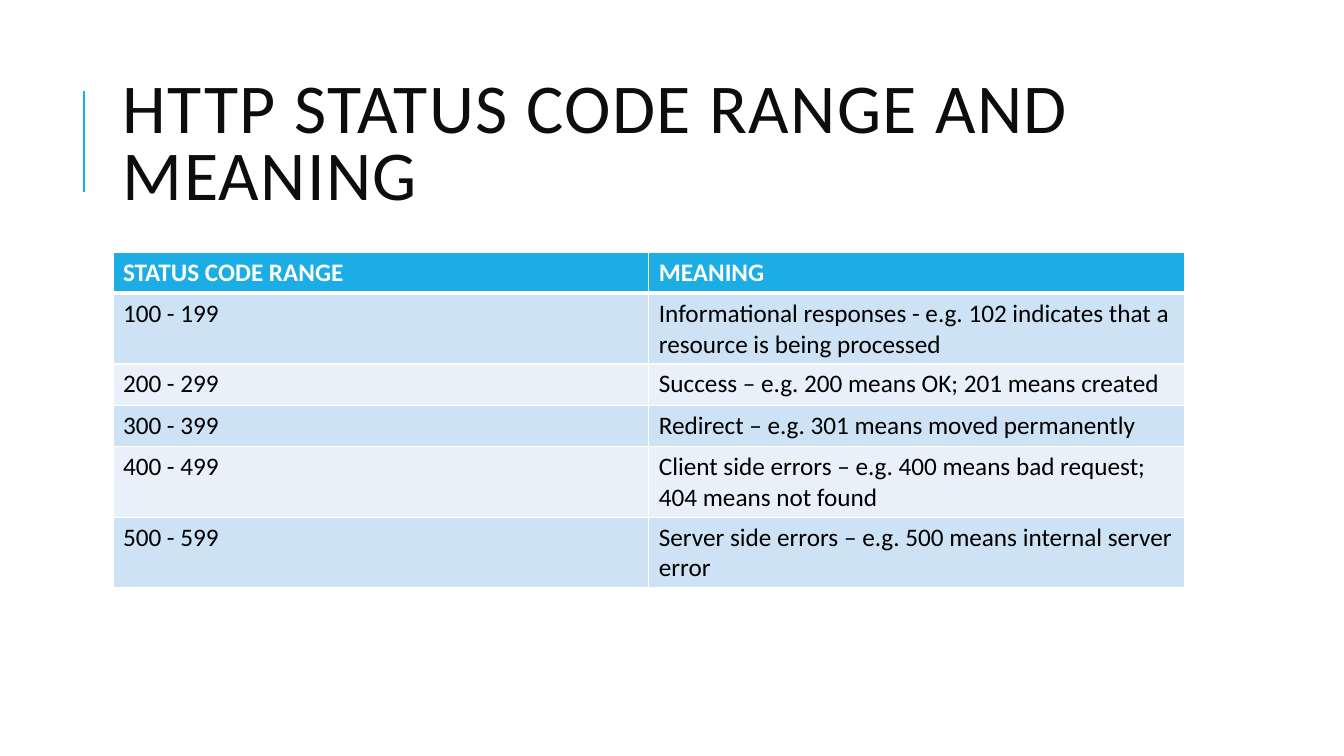
from lxml.etree import SubElement
from pptx import Presentation
from pptx.dml.color import RGBColor
from pptx.enum.shapes import MSO_CONNECTOR
from pptx.enum.text import MSO_ANCHOR
from pptx.oxml.ns import qn
from pptx.util import Inches, Pt

COLORS = {
    "accent": "1CADE4",
    "title": "0D0D0D",
    "body": "000000",
    "white": "FFFFFF",
    "band_dark": "CDE3F5",
    "band_light": "E8F1FA",
}
FONT = "Calibri"
LEFT, WIDTH = 1.12, 10.63
ROW_HEIGHT, TALL_ROW_HEIGHT = 0.41, 0.7
ROWS = [
    ("STATUS CODE RANGE", "MEANING", ROW_HEIGHT),
    ("100 - 199",
     "Informational responses - e.g. 102 indicates that a resource is being processed",
     TALL_ROW_HEIGHT),
    ("200 - 299", "Success – e.g. 200 means OK; 201 means created", ROW_HEIGHT),
    ("300 - 399", "Redirect – e.g. 301 means moved permanently", ROW_HEIGHT),
    ("400 - 499",
     "Client side errors – e.g. 400 means bad request; 404 means not found",
     TALL_ROW_HEIGHT),
    ("500 - 599", "Server side errors – e.g. 500 means internal server error",
     TALL_ROW_HEIGHT),
]


def rgb(name):
    """Return the named colour."""
    return RGBColor.from_string(COLORS[name])


def add_run(tf, text, color, **formats):
    """Write text in the first paragraph and format it."""
    r = tf.paragraphs[0].add_run()
    r.text = text
    r.font.color.rgb = rgb(color)
    for name, value in {"name": FONT, **formats}.items():
        setattr(r.font, name, value)
    return r


def add_accent_line(s, x, top, bottom):
    """Draw the upright line beside the title."""
    line = s.shapes.add_connector(
        MSO_CONNECTOR.STRAIGHT, Inches(x), Inches(bottom), Inches(x), Inches(top))
    line.line.color.rgb = rgb("accent")
    line.line.width = Pt(1.5)
    SubElement(line._element.spPr, qn("a:effectLst"))


def add_title(s, text, top, height):
    """Add the slide title."""
    sp = s.shapes.add_textbox(Inches(LEFT), Inches(top), Inches(WIDTH), Inches(height))
    tf = sp.text_frame
    tf.word_wrap = True
    tf.vertical_anchor = MSO_ANCHOR.MIDDLE
    tf.paragraphs[0].line_spacing = 0.8
    r = add_run(tf, text, "title", size=Pt(50))
    r.font._element.set("spc", "100")


def set_borders(cell, widths):
    """Give the cell white borders, in points by side."""
    tc_pr = cell._tc.get_or_add_tcPr()
    for side, width in widths.items():
        ln = SubElement(tc_pr, qn(f"a:ln{side}"), w=str(Pt(width)))
        fill = SubElement(ln, qn("a:solidFill"))
        SubElement(fill, qn("a:srgbClr"), val=COLORS["white"])


def fill_cell(cell, text, row):
    """Write and style one cell according to its row."""
    header = row == 0
    set_borders(cell, {"L": 1, "R": 1, "T": 3 if row == 1 else 1, "B": 3 if header else 1})
    cell.fill.solid()
    band = "band_dark" if row % 2 else "band_light"
    cell.fill.fore_color.rgb = rgb("accent" if header else band)
    add_run(cell.text_frame, text, "white" if header else "body",
            size=Pt(18), bold=header)


def add_status_table(s, top):
    """Add the table of status code ranges."""
    height = sum(row[-1] for row in ROWS)
    table = s.shapes.add_table(
        len(ROWS), 2, Inches(LEFT), Inches(top), Inches(WIDTH), Inches(height)).table
    for i, (*texts, row_height) in enumerate(ROWS):
        table.rows[i].height = Inches(row_height)
        for j, text in enumerate(texts):
            fill_cell(table.cell(i, j), text, i)


def main():
    """Build the slide and save it."""
    prs = Presentation()
    prs.slide_width, prs.slide_height = Inches(13.33), Inches(7.5)
    s = prs.slides.add_slide(prs.slide_layouts[6])
    add_accent_line(s, 0.83, 0.9, 1.9)
    add_title(s, "HTTP STATUS CODE RANGE AND MEANING", 0.64, 1.64)
    add_status_table(s, 2.5)
    prs.save("out.pptx")


if __name__ == "__main__":
    main()
